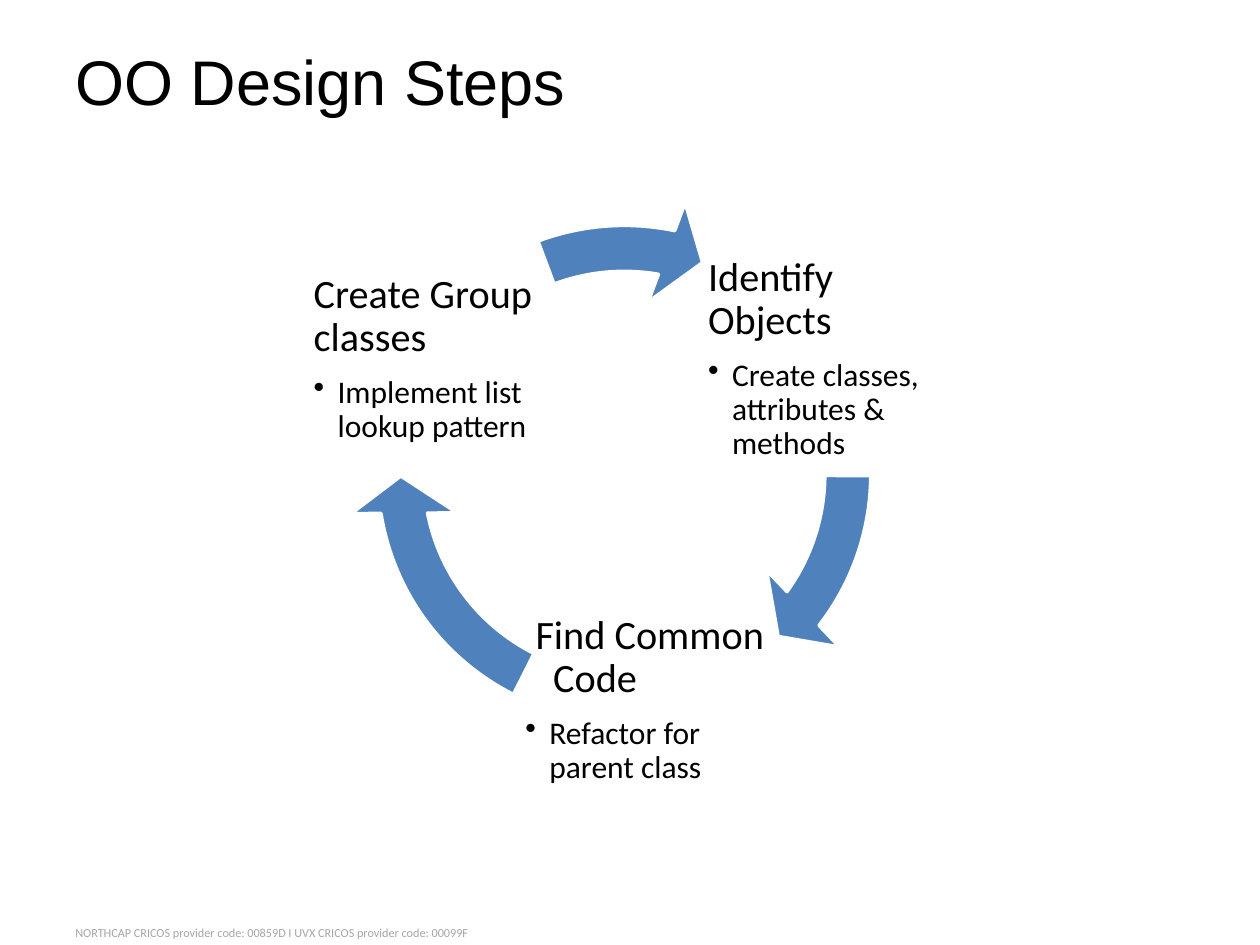
import pptx
import pptx.dml.color
import pptx.enum.shapes
import pptx.enum.text
import pptx.oxml
import pptx.oxml.ns
import pptx.util
from pptx.util import Inches

BLACK = pptx.dml.color.RGBColor(0x00, 0x00, 0x00)
WHITE = pptx.dml.color.RGBColor(0xFF, 0xFF, 0xFF)
BLUE = pptx.dml.color.RGBColor(0x4F, 0x81, 0xBD)
GREY = pptx.dml.color.RGBColor(0xA6, 0xA6, 0xA6)

FOOTER = "NORTHCAP CRICOS provider code: 00859D I UVX CRICOS provider code: 00099F"

# heading, bullet, box, heading margin and first-line indent
STEPS = [
    ("Identify Objects", "Create classes, attributes & methods",
     (5.59, 1.92, 1.86, 1.86), (0, 0)),
    ("Find Common Code", "Refactor for parent class",
     (4.14, 4.68, 2.05, 1.75), (0.22, -0.14)),
    ("Create Group classes", "Implement list lookup pattern",
     (2.46, 1.92, 1.86, 1.86), (0, 0)),
]

# top, end angle and start angle of each arrow, angles as adjustment values
ARROWS = [(1.57, 22.13, 0.18), (1.57, 101.99, 70.04), (1.55, 168.54, 149.69)]


def format_text(p, font, size, color):
    p.alignment = pptx.enum.text.PP_ALIGN.LEFT
    for r in p.runs:
        r.font.name = font
        r.font.size = pptx.util.Pt(size)
        r.font.color.rgb = color


def indent(p, margin, first_line):
    pPr = p._p.get_or_add_pPr()
    pPr.set("marL", str(Inches(margin)))
    pPr.set("indent", str(Inches(first_line)))


def add_bullet(p):
    bullet = pptx.oxml.parse_xml(
        '<a:buChar %s char="•"/>' % pptx.oxml.ns.nsdecls("a"))
    p._p.get_or_add_pPr().append(bullet)


def set_title(slide, text):
    title = slide.shapes.title
    title.left, title.top = Inches(0.5), Inches(0.3)
    title.width, title.height = Inches(9), Inches(0.67)
    tf = title.text_frame
    tf.text = text
    tf.vertical_anchor = pptx.enum.text.MSO_ANCHOR.MIDDLE
    format_text(tf.paragraphs[0], "Arial", 36, BLACK)


def add_text_box(slide, box):
    tf = slide.shapes.add_textbox(*map(Inches, box)).text_frame
    tf.word_wrap = True
    return tf


def add_footer(slide, text):
    tf = add_text_box(slide, (0.5, 7.29, 8.85, 0.21))
    tf.text = text
    format_text(tf.paragraphs[0], "Calibri", 7, GREY)


def add_step(slide, heading, detail, box, heading_indent):
    tf = add_text_box(slide, box)
    tf.vertical_anchor = pptx.enum.text.MSO_ANCHOR.MIDDLE
    tf.margin_left = tf.margin_right = Inches(0.03)
    tf.margin_top = tf.margin_bottom = Inches(0.03)
    head, item = tf.paragraphs[0], tf.add_paragraph()
    item.level = 1
    for p, text, size, after in ((head, heading, 23, 9), (item, detail, 18, 3)):
        p.text = text
        p.line_spacing = 0.9
        p.space_after = pptx.util.Pt(after)
        format_text(p, "Calibri", size, BLACK)
    indent(head, *heading_indent)
    indent(item, 0.19, -0.19)
    add_bullet(item)


def add_cycle_arrow(slide, top, end, start):
    sp = slide.shapes.add_shape(
        pptx.enum.shapes.MSO_SHAPE.CIRCULAR_ARROW,
        Inches(2.76), Inches(top), Inches(4.39), Inches(4.39))
    for i, value in enumerate((0.083, 5.767, end, start, 0.096)):
        sp.adjustments[i] = value
    sp.shadow.inherit = False
    sp.fill.solid()
    sp.fill.fore_color.rgb = BLUE
    sp.line.color.rgb = WHITE
    sp.line.width = pptx.util.Pt(2)


def main():
    prs = pptx.Presentation()
    prs.slide_width, prs.slide_height = Inches(10), Inches(7.5)
    s = prs.slides.add_slide(prs.slide_layouts[5])
    add_footer(s, FOOTER)
    set_title(s, "OO Design Steps")
    for step, arrow in zip(STEPS, ARROWS):
        add_step(s, *step)
        add_cycle_arrow(s, *arrow)
    prs.save("out.pptx")


if __name__ == "__main__":
    main()
